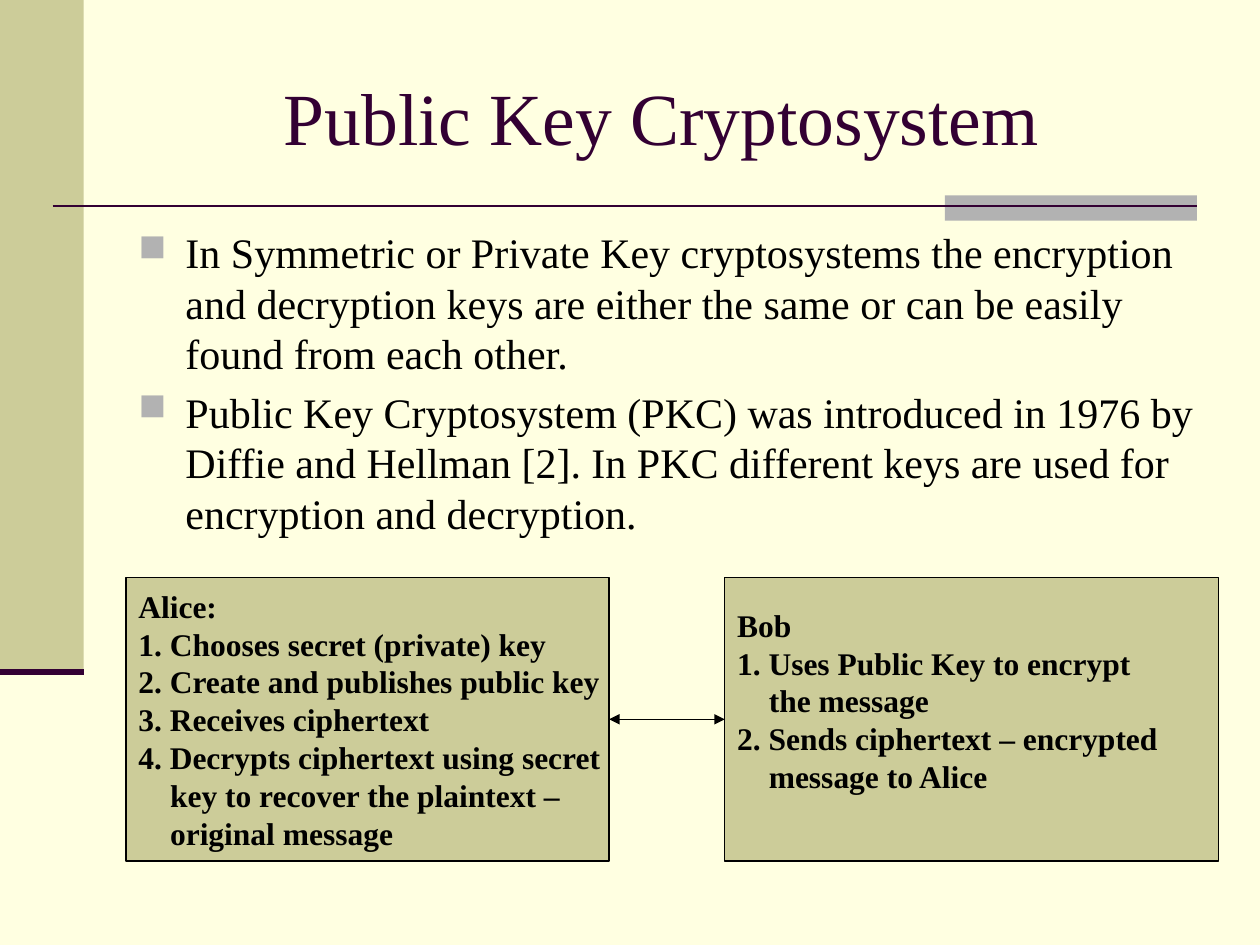
from lxml.etree import SubElement
from pptx import Presentation
from pptx.dml.color import RGBColor
from pptx.enum.shapes import MSO_CONNECTOR as Connector, MSO_SHAPE as Shape
from pptx.enum.text import MSO_ANCHOR as Anchor, PP_ALIGN as Align
from pptx.oxml.ns import qn
from pptx.util import Cm, Pt

COLORS = {
    "background": "FFFFE1",
    "khaki": "CCCC99",
    "gray": "B2B2B2",
    "plum": "330033",
    "black": "000000",
}
FONT = "Times New Roman"

TITLE = "Public Key Cryptosystem"
BULLETS = [
    "In Symmetric or Private Key cryptosystems the encryption and decryption "
    "keys are either the same or can be easily found from each other.",
    "Public Key Cryptosystem (PKC) was introduced in 1976 by Diffie and Hellman "
    "[2]. In PKC different keys are used for encryption and decryption.",
]
# Each step is a list of lines; lines after the first are indented.
ALICE = [
    ["Alice:"],
    ["1. Chooses secret (private) key"],
    ["2. Create and publishes public key"],
    ["3. Receives ciphertext"],
    ["4. Decrypts ciphertext using secret", "key to recover the plaintext –",
     "original message"],
]
BOB = [
    ["Bob"],
    ["1. Uses Public Key to encrypt", "the message"],
    ["2. Sends ciphertext – encrypted", "message to Alice"],
]

# left, top, width, height in cm
SIDEBAR = (0, 0, 1.69, 13.55)
ACCENT = (19.05, 3.94, 5.08, 0.51)
TITLE_BOX = (2.54, 0.76, 21.59, 3.18)
BODY_BOX = (2.54, 4.45, 21.8, 13.97)
ALICE_BOX = (2.54, 11.64, 9.74, 5.72)
BOB_BOX = (14.61, 11.64, 9.95, 5.72)
STEP_INDENT = 0.64
BULLET_INDENT = 0.95
BOB_LIFT = 0.76  # extra bottom inset that raises the centred text


def color(name):
    return RGBColor.from_string(COLORS[name])


def add_rectangle(slide, box, fill, outline=None):
    shape = slide.shapes.add_shape(Shape.RECTANGLE, *map(Cm, box))
    shape.shadow.inherit = False
    shape.fill.solid()
    shape.fill.fore_color.rgb = color(fill)
    if outline:
        shape.line.color.rgb = color(outline)
        shape.line.width = Pt(0.75)
    else:
        shape.line.fill.background()
    return shape


def add_line(slide, start, end, line_color, width):
    line = slide.shapes.add_connector(Connector.STRAIGHT, *map(Cm, start + end))
    line.line.color.rgb = color(line_color)
    line.line.width = Pt(width)
    SubElement(line._element.spPr, qn("a:effectLst"))
    return line


def add_arrowheads(line):
    outline = line.line._get_or_add_ln()
    for end in ("a:headEnd", "a:tailEnd"):
        SubElement(outline, qn(end), type="triangle")


def add_text(frame, text, size, font_color="black", bold=False, align=Align.LEFT,
             indent=0, space_before=0):
    """Fill the frame's empty first paragraph, or append a new one."""
    paragraph = frame.paragraphs[-1]
    if paragraph.runs:
        paragraph = frame.add_paragraph()
    paragraph.alignment = align
    paragraph.space_before = Pt(space_before)
    paragraph._p.get_or_add_pPr().set("marL", str(Cm(indent)))
    run = paragraph.add_run()
    run.text = text
    run.font.name = FONT
    run.font.size = Pt(size)
    run.font.bold = bold
    run.font.color.rgb = color(font_color)
    return paragraph


def add_bullet(paragraph, indent):
    properties = paragraph._p.get_or_add_pPr()
    properties.set("indent", str(-Cm(indent)))
    bullet_color = SubElement(properties, qn("a:buClr"))
    SubElement(bullet_color, qn("a:srgbClr"), val=COLORS["gray"])
    SubElement(properties, qn("a:buSzPct"), val="90000")
    SubElement(properties, qn("a:buChar"), char="■")


def add_text_box(slide, box, anchor):
    frame = slide.shapes.add_textbox(*map(Cm, box)).text_frame
    frame.word_wrap = True
    frame.vertical_anchor = anchor
    return frame


def add_party(slide, box, steps, lift=0):
    """Draw one participant's box with its numbered steps."""
    shape = add_rectangle(slide, box, "khaki", outline="black")
    frame = shape.text_frame
    frame.word_wrap = True
    frame.vertical_anchor = Anchor.MIDDLE
    frame.margin_right = 0
    frame.margin_bottom = Cm(0.13 + lift)
    for step in steps:
        for number, text in enumerate(step):
            add_text(frame, text, 18, bold=True, indent=STEP_INDENT if number else 0)
    return shape


def main():
    presentation = Presentation()
    presentation.slide_width, presentation.slide_height = Cm(25.4), Cm(19.05)
    slide = presentation.slides.add_slide(presentation.slide_layouts[6])
    slide.background.fill.solid()
    slide.background.fill.fore_color.rgb = color("background")

    add_rectangle(slide, SIDEBAR, "khaki")
    add_rectangle(slide, ACCENT, "gray")
    add_line(slide, (1.06, 4.15), (24.13, 4.15), "plum", 1.5)
    add_line(slide, (0, 13.55), (1.69, 13.55), "plum", 3.5)

    title = add_text_box(slide, TITLE_BOX, Anchor.MIDDLE)
    add_text(title, TITLE, 42, font_color="plum", align=Align.CENTER)
    body = add_text_box(slide, BODY_BOX, Anchor.TOP)
    for text in BULLETS:
        paragraph = add_text(body, text, 24, indent=BULLET_INDENT, space_before=4.8)
        add_bullet(paragraph, BULLET_INDENT)

    alice = add_party(slide, ALICE_BOX, ALICE)
    bob = add_party(slide, BOB_BOX, BOB, lift=BOB_LIFT)
    middle = ALICE_BOX[1] + ALICE_BOX[3] / 2
    exchange = add_line(slide, (ALICE_BOX[0] + ALICE_BOX[2], middle),
                        (BOB_BOX[0], middle), "black", 0.75)
    exchange.begin_connect(alice, 3)
    exchange.end_connect(bob, 1)
    add_arrowheads(exchange)

    presentation.save("out.pptx")


if __name__ == "__main__":
    main()
